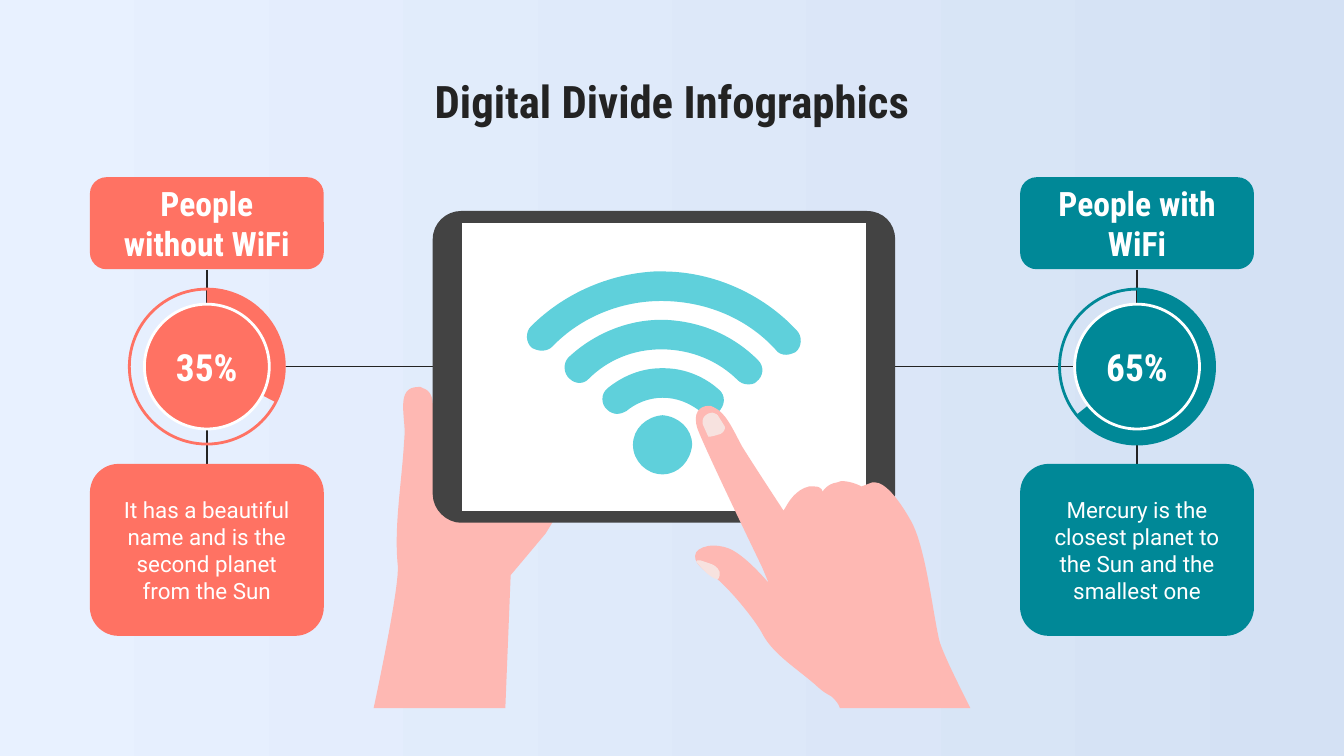
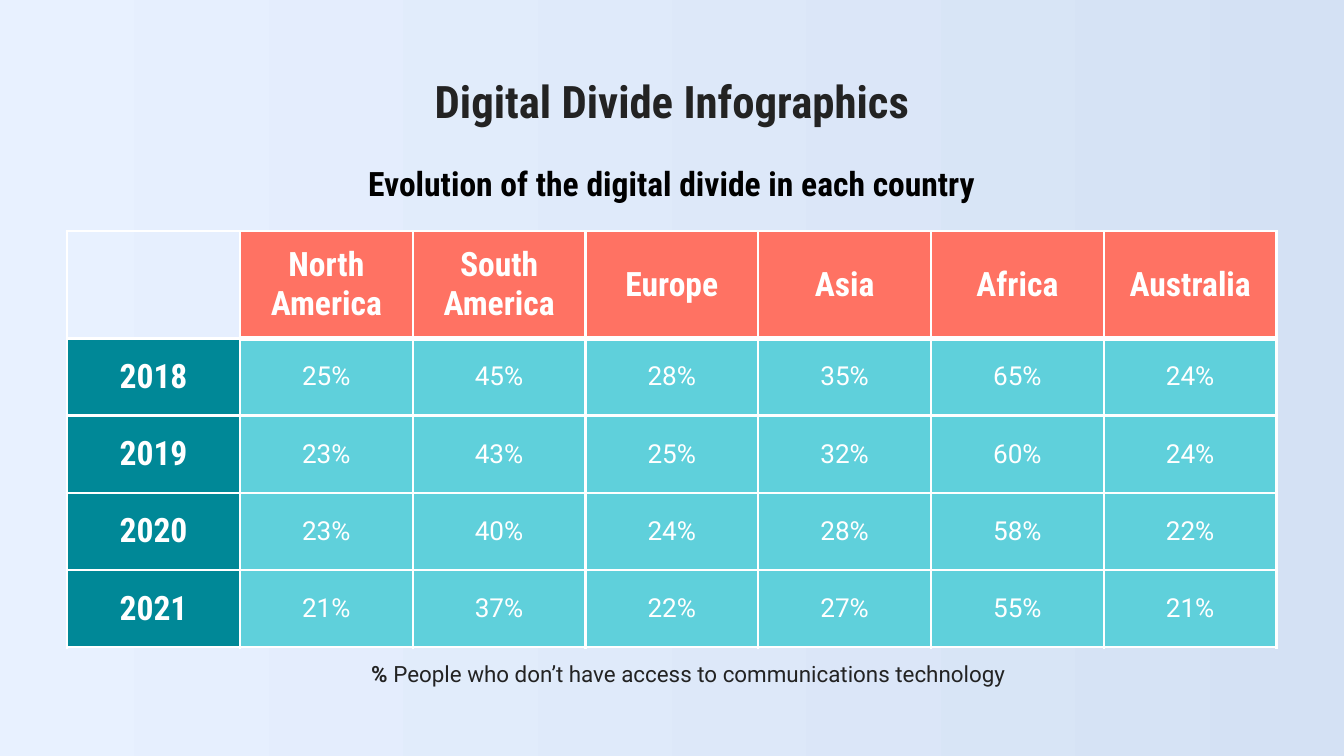
from lxml import etree
from pptx import Presentation
from pptx.dml.color import RGBColor
from pptx.enum.shapes import MSO_CONNECTOR, MSO_SHAPE
from pptx.enum.text import MSO_ANCHOR, PP_ALIGN
from pptx.oxml.ns import qn
from pptx.util import Cm, Pt

STRAIGHT = MSO_CONNECTOR.STRAIGHT
ELLIPSE = MSO_SHAPE.OVAL
PIE = MSO_SHAPE.PIE
ROUNDED = MSO_SHAPE.ROUNDED_RECTANGLE
TOP = MSO_ANCHOR.TOP
MIDDLE = MSO_ANCHOR.MIDDLE
CENTER = PP_ALIGN.CENTER

HEADING_FONT = "Roboto Condensed"
BODY_FONT = "Roboto"
INK = "232323"
BLACK = "000000"
WHITE = "FFFFFF"
CORAL = "FF7263"
TEAL = "008897"
AQUA = "5FD0DB"
SKIN = "FEB8B3"
NAIL = "F7E2DF"
BEZEL = "434343"
BACKDROP = ("E8F1FF", "D4E1F4")

TITLE = "Digital Divide Infographics"
INSET = Cm(0.25)
DIAL_Y = 6.93
OUTLINE_UNIT = Cm(2.54) / 100

HOLDING_HAND = (
    "311 288; 294 288 302 311 301 324; 299 360 293 391 296 421;"
    "297 433 287 485 278 527; 376 527; 380 428; 380 428 396 409 406 397;"
    "409 392 412 388 412 386; 413 379 404 311 404 311; 322 300;"
    "322 300 322 291 315 289; 314 289 314 289 313 288; 313 288 312 288 311 288"
)
TABLET = (
    "343 157; 332 157 322 166 322 178; 322 368; 322 379 332 389 343 389;"
    "645 389; 657 389 666 379 666 368; 666 178; 666 166 657 157 645 157"
)
SCREEN = "344 166; 344 380; 644 380; 644 166"
WIFI_DOT = (
    "493 309; 481 310 471 319 471 331; 471 343 481 353 493 353;"
    "505 353 514 343 515 331; 515 319 505 310 493 309"
)
WIFI_WAVES = (
    "493 202; 493 202 492 202 492 202; 490 202 488 202 487 202;"
    "452 204 419 219 395 243;"
    "391 247 391 255 396 259; 398 260 401 261 403 261; 406 261 409 260 411 258;"
    "432 236 462 224 492 224; 524 224 555 236 577 260; 579 263 582 264 585 264;"
    "587 264 590 263 592 262; 597 258 597 250 593 246; 568 219 531 202 493 202",
    "492 274; 477 274 463 280 452 289; 447 293 447 301 452 305;"
    "454 307 457 308 459 308; 462 308 464 307 466 306; 473 300 483 296 493 296;"
    "504 296 513 300 521 306; 523 308 525 309 528 309; 530 309 532 308 534 307;"
    "540 302 540 294 535 290; 524 280 509 274 494 274",
    "492 238; 466 238 441 249 423 266; 419 270 419 278 424 282;"
    "426 284 429 285 431 285; 434 285 436 284 438 282; 452 268 471 260 492 260;"
    "515 260 535 269 549 283; 551 285 554 286 556 286; 559 286 561 286 563 284;"
    "568 280 569 273 564 268; 546 250 522 239 494 238",
)
POINTING_HAND = (
    "527 302; 521 302 515 307 519 319; 524 333 567 422 567 422; 572 434;"
    "572 434 558 417 546 410; 541 407 535 406 531 406; 525 406 520 408 518 411;"
    "514 418 525 426 531 429; 537 432 561 459 568 473; 576 487 592 497 606 509;"
    "619 521 616 514 623 523; 624 524 624 525 625 527; 722 527;"
    "712 507 702 487 699 477; 694 456 689 408 678 388; 668 370 658 359 651 359;"
    "650 359 649 359 649 359; 641 362; 641 362 634 358 626 358;"
    "625 358 624 358 623 359; 615 360 612 366 612 366; 612 366 612 362 606 362;"
    "605 362 604 362 602 362; 592 364 586 375 586 375; 583 380;"
    "583 380 560 345 552 332; 545 319 540 307 531 303; 530 302 528 302 527 302"
)
NAILS = (
    "521 417; 519 417 518 417 518 418; 518 418 528 431 534 431;"
    "535 431 537 426 534 423; 531 420 530 420 524 418; 523 417 522 417 521 417",
    "530 307; 528 307 526 308 524 310; 522 312 523 316 523 316; 527 325;"
    "527 325 527 325 528 325; 530 325 532 324 536 323; 541 320 539 317 539 317;"
    "534 309; 534 309 532 307 530 307",
)

REGIONS = ("North America", "South America", "Europe", "Asia", "Africa", "Australia")
SHARES = {
    "2018": (25, 45, 28, 35, 65, 24),
    "2019": (23, 43, 25, 32, 60, 24),
    "2020": (23, 40, 24, 28, 58, 22),
    "2021": (21, 37, 22, 27, 55, 21),
}


def rgb(code):
    return RGBColor.from_string(code)


def style_run(run, size, font, color, bold):
    run.font.size = Pt(size)
    run.font.name = font
    run.font.color.rgb = rgb(color)
    run.font.bold = bold


def write(frame, text, size, font=HEADING_FONT, color=WHITE, bold=True, anchor=MIDDLE):
    frame.text = text
    frame.word_wrap = True
    frame.vertical_anchor = anchor
    frame.margin_left = frame.margin_right = INSET
    frame.margin_top = frame.margin_bottom = INSET
    paragraph = frame.paragraphs[0]
    paragraph.alignment = CENTER
    style_run(paragraph.runs[0], size, font, color, bold)


def add_label(slide, left, top, width, height, text, size, **style):
    label = slide.shapes.add_textbox(Cm(left), Cm(top), Cm(width), Cm(height))
    write(label.text_frame, text, size, **style)
    return label.text_frame.paragraphs[0]


def paint(shape, fill=None, line=None):
    shape.shadow.inherit = False
    if fill:
        shape.fill.solid()
        shape.fill.fore_color.rgb = rgb(fill)
    else:
        shape.fill.background()
    if line:
        shape.line.color.rgb = rgb(line)
        shape.line.width = Pt(1.5)
    else:
        shape.line.fill.background()


def add_figure(group, kind, left, top, width, height, fill=None, line=None):
    figure = group.shapes.add_shape(kind, Cm(left), Cm(top), Cm(width), Cm(height))
    paint(figure, fill, line)
    return figure


def add_circle(group, kind, center_x, size, fill=None, line=None):
    left, top = center_x - size / 2, DIAL_Y - size / 2
    return add_figure(group, kind, left, top, size, size, fill, line)


def add_link(group, x1, y1, x2, y2):
    link = group.shapes.add_connector(STRAIGHT, Cm(x1), Cm(y1), Cm(x2), Cm(y2))
    link.line.color.rgb = rgb(INK)
    link.line.width = Pt(0.75)
    etree.SubElement(link._element.spPr, qn("a:effectLst"))


def read_segments(outline):
    segments = []
    for segment in outline.split(";"):
        values = [int(value) * OUTLINE_UNIT for value in segment.split()]
        segments.append(list(zip(values[::2], values[1::2])))
    return segments


def bend_curves(shape, segments):
    steps = iter(list(shape._element.iter(qn("a:lnTo"))))
    for segment in segments:
        lines = [next(steps) for _ in segment]
        if len(lines) == 3:
            curve = etree.Element(qn("a:cubicBezTo"))
            lines[0].addprevious(curve)
            for line in lines:
                curve.append(line[0])
                line.getparent().remove(line)


def add_outline(group, outline, fill):
    start, *segments = read_segments(outline)
    builder = group.shapes.build_freeform(*start[0])
    builder.add_line_segments([point for segment in segments for point in segment], close=True)
    shape = builder.convert_to_shape()
    bend_curves(shape, segments)
    paint(shape, fill)


def add_panel(slide, center_x, color, heading, share, sweep, body, link_from, link_to):
    panel = slide.shapes.add_group_shape()
    add_link(panel, link_from, DIAL_Y, link_to, DIAL_Y)
    add_link(panel, center_x, 5.1, center_x, 5.74)
    add_link(panel, center_x, 8.1, center_x, 8.77)

    add_circle(panel, ELLIPSE, center_x, 2.93, line=color)
    wedge = add_circle(panel, PIE, center_x, 2.93, color)
    wedge.adjustments[0] = (270 - sweep) * 0.6
    wedge.adjustments[1] = 162
    wedge.rotation = sweep
    disc = add_circle(panel, ELLIPSE, center_x, 2.36, color, WHITE)
    write(disc.text_frame, share, 20)

    left = center_x - 2.21
    body_box = add_figure(panel, ROUNDED, left, 8.77, 4.42, 3.25, color)
    write(body_box.text_frame, body, 12, font=BODY_FONT, bold=False)
    heading_box = add_figure(panel, ROUNDED, left, 3.35, 4.42, 1.74, color)
    heading_box.adjustments[0] = 0.18
    write(heading_box.text_frame, heading, 18)


def add_tablet_scene(slide):
    scene = slide.shapes.add_group_shape()
    add_outline(scene, HOLDING_HAND, SKIN)
    add_outline(scene, TABLET, BEZEL)
    add_outline(scene, SCREEN, WHITE)
    for part in (WIFI_DOT, *WIFI_WAVES):
        add_outline(scene, part, AQUA)
    add_outline(scene, POINTING_HAND, SKIN)
    for nail in NAILS:
        add_outline(scene, nail, NAIL)


def set_borders(cell, top, bottom):
    properties = cell._tc.get_or_add_tcPr()
    sides = (("a:lnL", 1.5), ("a:lnR", 1.5), ("a:lnT", top), ("a:lnB", bottom))
    for position, (side, width) in enumerate(sides):
        border = etree.Element(qn(side), w=str(Pt(width)))
        fill = etree.SubElement(border, qn("a:solidFill"))
        etree.SubElement(fill, qn("a:srgbClr"), val=WHITE)
        properties.insert(position, border)


def fill_cell(cell, text, color, size=18, font=HEADING_FONT, bold=True):
    cell.fill.solid()
    cell.fill.fore_color.rgb = rgb(color)
    cell.text = text
    cell.vertical_anchor = MIDDLE
    cell.margin_left = cell.margin_right = INSET
    cell.margin_top = cell.margin_bottom = INSET
    paragraph = cell.text_frame.paragraphs[0]
    paragraph.alignment = CENTER
    style_run(paragraph.runs[0], size, font, WHITE, bold)


def add_share_table(slide):
    rows, columns = len(SHARES) + 1, len(REGIONS) + 1
    frame = slide.shapes.add_table(rows, columns, Cm(1.27), Cm(4.37), Cm(22.86), Cm(7.59))
    table = frame.table
    table.first_row = table.horz_banding = False
    for index, row in enumerate(table.rows):
        row.height = Cm(1.46 if index else 1.75)

    table.cell(0, 0).fill.background()
    for column, region in enumerate(REGIONS, 1):
        fill_cell(table.cell(0, column), region, CORAL)
    for row, (year, shares) in enumerate(SHARES.items(), 1):
        fill_cell(table.cell(row, 0), year, TEAL)
        for column, share in enumerate(shares, 1):
            fill_cell(table.cell(row, column), f"{share}%", AQUA, 14, BODY_FONT, False)

    for row in range(rows):
        for column in range(columns):
            top = 3 if row == 1 and column else 1.5
            bottom = 3 if row == 0 and column else 1.5
            set_borders(table.cell(row, column), top, bottom)


def add_titled_slide(deck):
    slide = deck.slides.add_slide(deck.slide_layouts[6])
    backdrop = slide.background.fill
    backdrop.gradient()
    backdrop.gradient_angle = 0
    for stop, color in zip(backdrop.gradient_stops, BACKDROP):
        stop.color.rgb = rgb(color)
    add_label(slide, 1.27, 1.14, 22.86, 1.6, TITLE, 24, color=INK, anchor=TOP)
    return slide


def main():
    deck = Presentation()
    deck.slide_width = Cm(25.4)
    deck.slide_height = Cm(14.29)

    wifi_slide = add_titled_slide(deck)
    add_panel(wifi_slide, 3.91, CORAL, "People without WiFi", "35%", 117.4,
              "It has a beautiful name and is the second planet from the Sun", 5.38, 11.51)
    add_panel(wifi_slide, 21.49, TEAL, "People with WiFi", "65%", 231.6,
              "Mercury is the closest planet to the Sun and the smallest one", 20.29, 13.89)
    add_tablet_scene(wifi_slide)

    table_slide = add_titled_slide(deck)
    note = add_label(table_slide, 5.19, 12.27, 15.65, 0.94, "%", 12, font=BODY_FONT, color=INK)
    note_text = note.add_run()
    note_text.text = " People who don’t have access to communications technology"
    style_run(note_text, 12, BODY_FONT, INK, False)
    add_share_table(table_slide)
    add_label(table_slide, 4.12, 2.97, 17.15, 0.97,
              "Evolution of the digital divide in each country", 18, color=BLACK)

    deck.save("out.pptx")


if __name__ == "__main__":
    main()
